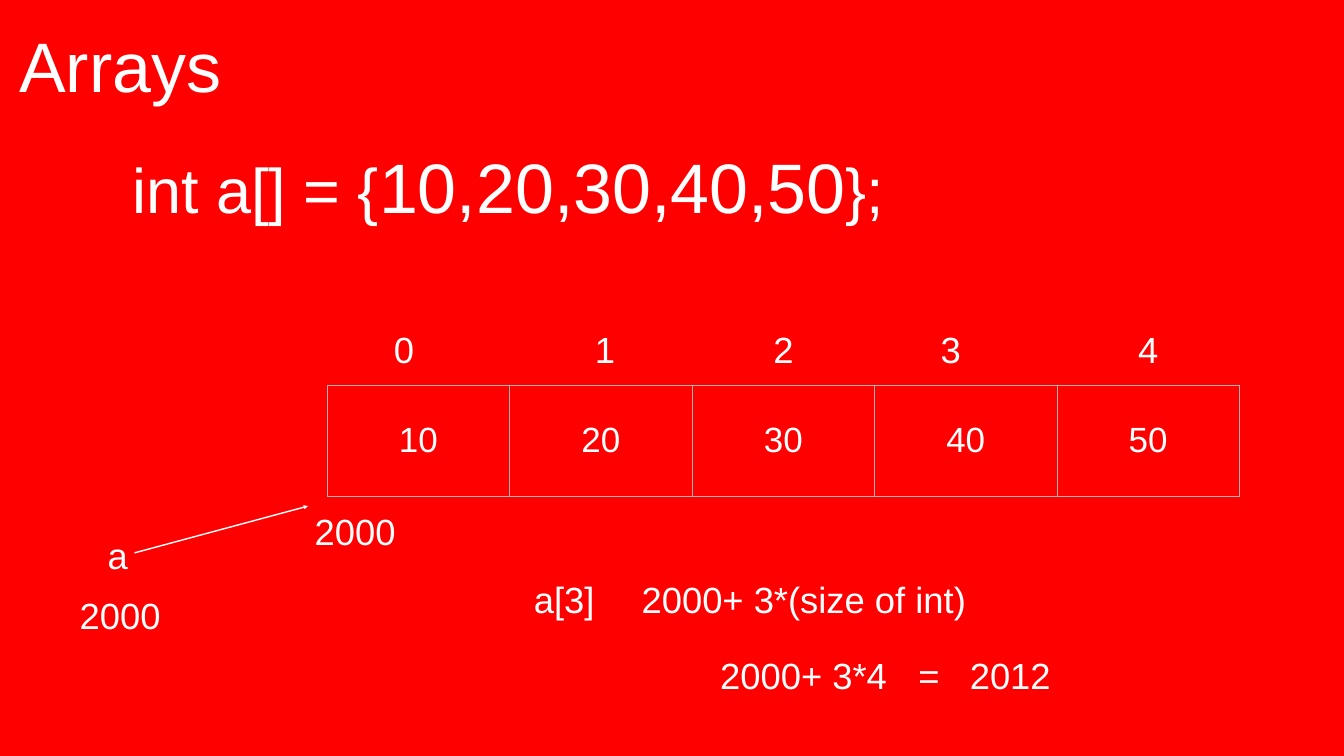
from lxml.etree import SubElement as Sub
from pptx import Presentation
from pptx.dml.color import RGBColor
from pptx.enum.shapes import MSO_CONNECTOR as Conn
from pptx.enum.text import MSO_ANCHOR as Anchor, MSO_AUTO_SIZE as Fit, PP_ALIGN as Align
from pptx.oxml.ns import qn
from pptx.util import Pt


def paint(color, code):
    color.rgb = RGBColor.from_string(code)


class Deck:
    font = "Arial"
    ink = "FFFFFF"
    rule = "B4B4B4"
    size = 52
    inset = Pt(4)

    def __init__(self, wide, high, back):
        self.show = Presentation()
        self.show.slide_width = Pt(wide)
        self.show.slide_height = Pt(high)
        self.slide = self.show.slides.add_slide(self.show.slide_layouts[6])
        fill = self.slide.background.fill
        fill.solid()
        paint(fill.fore_color, back)

    def pad(self, box):
        box.margin_left = box.margin_right = self.inset
        box.margin_top = box.margin_bottom = self.inset
        box.vertical_anchor = Anchor.MIDDLE

    def put(self, frame, runs):
        para = frame.paragraphs[0]
        para.alignment = Align.CENTER
        for words, size in runs:
            run = para.add_run()
            run.text = words
            run.font.name = self.font
            run.font.size = Pt(size)
            paint(run.font.color, self.ink)

    def text(self, left, top, wide, high, runs):
        box = self.slide.shapes.add_textbox(Pt(left), Pt(top), Pt(wide), Pt(high))
        frame = box.text_frame
        frame.word_wrap = False
        frame.auto_size = Fit.SHAPE_TO_FIT_TEXT
        self.pad(frame)
        self.put(frame, runs)

    def label(self, left, top, wide, words):
        self.text(left, top, wide, 69.8, [(words, self.size)])

    def border(self, cell):
        props = cell._tc.get_or_add_tcPr()
        for side in ("a:lnL", "a:lnR", "a:lnT", "a:lnB"):
            line = Sub(props, qn(side), w=str(Pt(1)))
            fill = Sub(line, qn("a:solidFill"))
            Sub(fill, qn("a:srgbClr"), val=self.rule)

    def table(self, left, top, wide, high, values, size):
        count = len(values)
        grid = self.slide.shapes.add_table(
            1, count, Pt(left), Pt(top), Pt(wide * count), Pt(high)).table
        grid.first_row = grid.horz_banding = False
        for col, cell, value in zip(grid.columns, grid.rows[0].cells, values):
            col.width = Pt(wide)
            self.pad(cell)
            self.border(cell)
            cell.fill.background()
            self.put(cell.text_frame, [(value, size)])

    def arrow(self, left, top, right, end):
        line = self.slide.shapes.add_connector(
            Conn.STRAIGHT, Pt(left), Pt(top), Pt(right), Pt(end))
        line.line.width = Pt(2)
        paint(line.line.color, self.ink)
        Sub(line.get_or_add_ln(), qn("a:tailEnd"), type="triangle")
        Sub(line._element.spPr, qn("a:effectLst"))

    def save(self):
        self.show.save("out.pptx")


def main():
    deck = Deck(1920, 1080, "FF0000")
    values = ["10", "20", "30", "40", "50"]
    deck.text(23, 28, 298, 128, [("Arrays", 100)])
    deck.table(467.3, 550, 260.7, 158.4, values, 50)
    deck.text(175.7, 201.6, 1100.9, 128,
              [("int a[] = {", 90), (",".join(values), 100), ("};", 90)])
    deck.arrow(192.2, 789.8, 440, 723)
    for index, left in enumerate([558, 845.3, 1100.2, 1339.2, 1621.4]):
        deck.label(left, 463.7, 38.2, str(index))
    for left, top, wide, words in [
        (445, 724.3, 124.6, "2000"),
        (149, 758.2, 38.2, "a"),
        (755.3, 820.8, 101.5, "a[3]"),
        (910.1, 820.8, 476.6, "2000+ 3*(size of int)"),
        (109.4, 843.1, 124.6, "2000"),
        (1022.4, 928.8, 251.3, "2000+ 3*4"),
        (1305.4, 928.8, 43.2, "="),
        (1381, 928.8, 124.6, "2012"),
    ]:
        deck.label(left, top, wide, words)
    deck.save()


if __name__ == "__main__":
    main()
